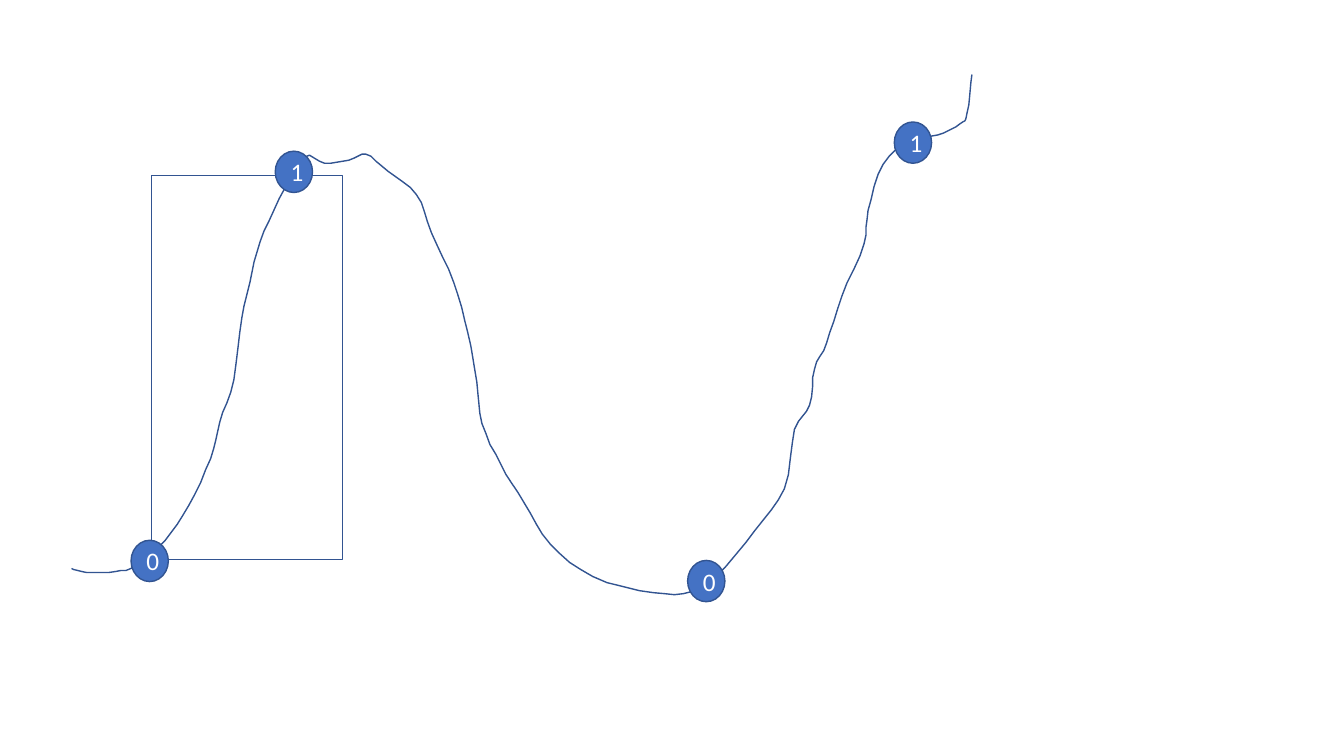
from pptx import Presentation
from pptx.dml.color import RGBColor
from pptx.enum.shapes import MSO_SHAPE
from pptx.enum.text import MSO_ANCHOR, PP_ALIGN
from pptx.util import Inches, Pt

CELL = Inches(0.01)  # the slide is a grid of 1333 columns by 750 rows
OUTLINE, NODE_FILL, NODE_TEXT = "325491", "4472C4", "FFFFFF"
STEPS = 4  # line segments between two neighbouring wave points

presentation = Presentation()
presentation.slide_width = 1333 * CELL
presentation.slide_height = 750 * CELL
slide = presentation.slides.add_slide(presentation.slide_layouts[6])


def paint(part, fill=None):
    part.shadow.inherit = False
    part.line.color.rgb = RGBColor.from_string(OUTLINE)
    part.line.width = Pt(1)
    if fill:
        part.fill.solid()
        part.fill.fore_color.rgb = RGBColor.from_string(fill)
    else:
        part.fill.background()


def write(part, text, size=18, font="Calibri", color=NODE_TEXT):
    frame = part.text_frame
    frame.vertical_anchor = MSO_ANCHOR.MIDDLE
    paragraph = frame.paragraphs[0]
    paragraph.alignment = PP_ALIGN.CENTER
    run = paragraph.add_run()
    run.text = text
    run.font.size = Pt(size)
    run.font.name = font
    run.font.color.rgb = RGBColor.from_string(color)


# Hand-drawn wave: (column, row) points, rounded off by a Catmull-Rom spline
wave_points = [
    (71, 564), (86, 568), (115, 567), (135, 561), (164, 536), (187, 502),
    (209, 455), (218, 419), (232, 377), (240, 315), (248, 280), (258, 240),
    (277, 197), (302, 156), (322, 162), (346, 159), (363, 153), (385, 170),
    (413, 193), (428, 231), (450, 280), (464, 330), (473, 379), (478, 420),
    (497, 461), (520, 499), (546, 540), (588, 572), (648, 588), (686, 587),
    (711, 571), (749, 526), (778, 485), (788, 426), (803, 402), (808, 366),
    (820, 340), (835, 294), (857, 242), (861, 209), (876, 163), (904, 139),
    (930, 134), (952, 123), (959, 113), (964, 74),
]
padded = [wave_points[0], *wave_points, wave_points[-1]]
wave_line = []
for before, start, end, after in zip(padded, padded[1:], padded[2:], padded[3:]):
    for step in range(1, STEPS + 1):
        t = step / STEPS
        wave_line.append(tuple(
            b + ((c - a) * t + (2 * a - 5 * b + 4 * c - d) * t ** 2
                 + (3 * b - a - 3 * c + d) * t ** 3) / 2
            for a, b, c, d in zip(before, start, end, after)))

builder = slide.shapes.build_freeform(*wave_points[0], scale=CELL)
builder.add_line_segments(wave_line, close=False)
paint(builder.convert_to_shape())

# Window around the first rise
window = slide.shapes.add_shape(
    MSO_SHAPE.RECTANGLE, 150 * CELL, 174 * CELL, 190 * CELL, 381 * CELL)
paint(window)

# Numbered nodes on the wave
node_width, node_height = 37 * CELL, 41 * CELL
for digit, column, row in [("0", 130, 536), ("0", 682, 556),
                           ("1", 273, 150), ("1", 887, 121)]:
    node = slide.shapes.add_shape(
        MSO_SHAPE.OVAL, column * CELL, row * CELL, node_width, node_height)
    paint(node, NODE_FILL)
    write(node, digit)

presentation.save("out.pptx")
